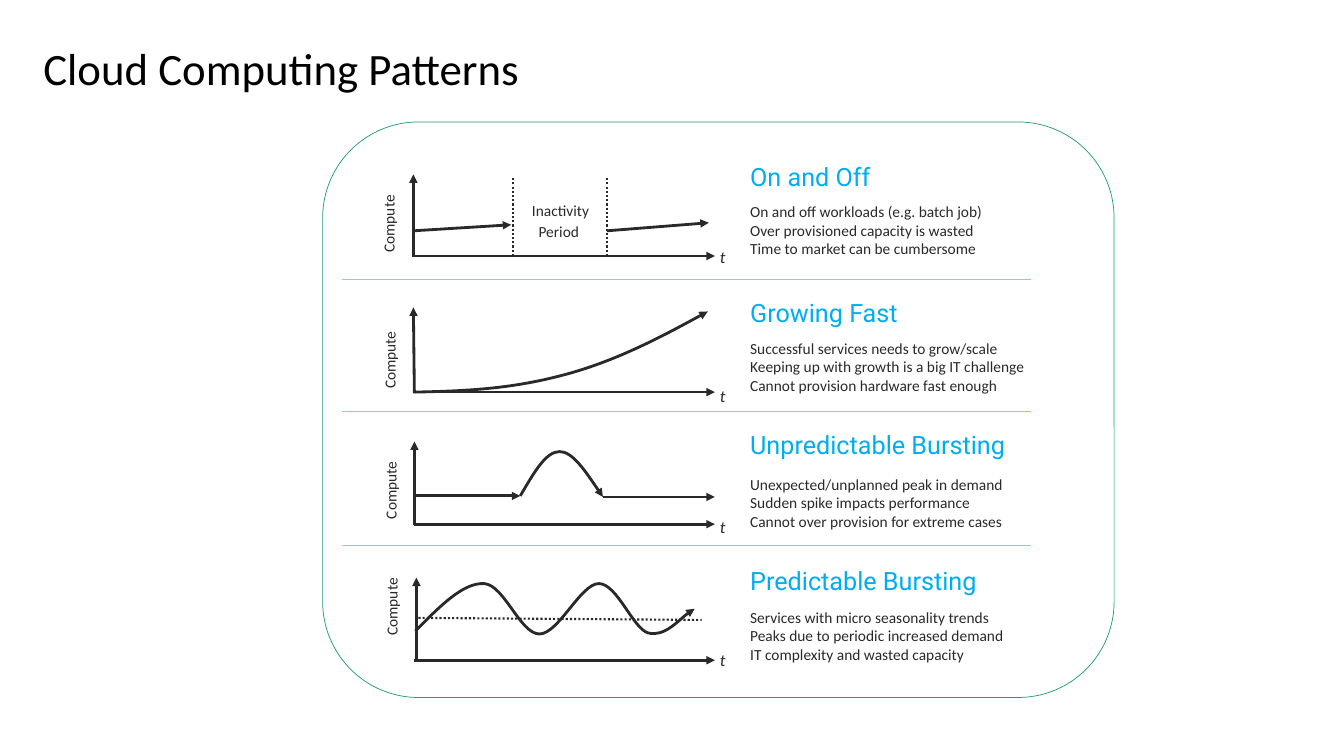
from dataclasses import dataclass

from lxml.etree import SubElement
from pptx import Presentation
from pptx.dml.color import RGBColor
from pptx.enum.dml import MSO_LINE
from pptx.enum.shapes import MSO_CONNECTOR, MSO_SHAPE
from pptx.enum.text import MSO_ANCHOR, MSO_AUTO_SIZE, PP_ALIGN
from pptx.oxml.ns import qn
from pptx.util import Inches, Pt


@dataclass(frozen=True)
class Theme:
    font: str = "Calibri"
    heading_font: str = "Roboto"
    title: str = "000000"
    ink: str = "292929"
    accent: str = "00AEEF"
    divider: str = "7ECCFF"
    panel: str = "FFFFFF"
    panel_line: str = "1D9A78"
    title_size: float = 32
    heading_size: float = 18
    axis_size: float = 12
    body_size: float = 11
    stroke: float = 2
    dotted_stroke: float = 1.5
    divider_stroke: float = 0.75
    panel_stroke: float = 0.5


@dataclass(frozen=True)
class Pattern:
    heading: str
    lines: tuple
    heading_top: float
    heading_width: float
    lines_top: float
    lines_width: float
    origin: tuple
    axis_tip: tuple
    time_top: float
    label_at: tuple


PATTERNS = (
    Pattern("On and Off",
            ("On and off workloads (e.g. batch job)",
             "Over provisioned capacity is wasted",
             "Time to market can be cumbersome"),
            1.59, 2.65, 2.01, 3.15, (4.1, 2.54), (4.1, 1.73), 2.45, (3.42, 2.1)),
    Pattern("Growing Fast",
            ("Successful services needs to grow/scale",
             "Keeping up with growth is a big IT challenge",
             "Cannot provision hardware fast enough"),
            2.93, 2.96, 3.36, 2.96, (4.11, 3.89), (4.1, 3.05), 3.83, (3.43, 3.45)),
    Pattern("Unpredictable Bursting",
            ("Unexpected/unplanned peak in demand",
             "Sudden spike impacts performance",
             "Cannot over provision for extreme cases"),
            4.24, 3.39, 4.71, 2.7, (4.11, 5.2), (4.11, 4.38), 5.13, (3.44, 4.74)),
    Pattern("Predictable Bursting",
            ("Services with micro seasonality trends",
             "Peaks due to periodic increased demand",
             "IT complexity and wasted capacity"),
            5.59, 3.19, 6.03, 2.58, (4.11, 6.55), (4.13, 5.73), 6.45, (3.45, 5.9)),
)

GROWTH_CURVE = ((4.1, 3.89), (4.68, 3.88), (5.1, 3.85), (5.59, 3.72),
                (6.08, 3.59), (6.55, 3.35), (7.02, 3.09))
SPIKE_CURVE = ((5.16, 4.92), (5.29, 4.7), (5.41, 4.48), (5.55, 4.48),
               (5.68, 4.48), (5.83, 4.71), (5.98, 4.93))
SEASON_CURVE = ((4.12, 6.26), (4.36, 6.02), (4.59, 5.78), (4.8, 5.79),
                (5, 5.8), (5.16, 6.29), (5.35, 6.29), (5.54, 6.29),
                (5.76, 5.79), (5.94, 5.79), (6.12, 5.79), (6.28, 6.24),
                (6.43, 6.28), (6.59, 6.32), (6.8, 6.08), (6.89, 6.04))


def bend_segments(shape):
    """Turn every three straight segments of a freeform into one cubic curve."""
    outline = next(shape.element.iter(qn("a:path")))
    segments = outline.findall(qn("a:lnTo"))
    for index in range(0, len(segments), 3):
        cubic = SubElement(outline, qn("a:cubicBezTo"))
        for segment in segments[index:index + 3]:
            cubic.append(segment[0])
            outline.remove(segment)


class PatternSlide:
    """Draws on a slide whose grid has columns and rows of one inch."""

    cell = Inches(1)

    def __init__(self, presentation, theme):
        self.theme = theme
        self.slide = presentation.slides.add_slide(presentation.slide_layouts[5])

    def grid(self, *cells):
        return [round(count * self.cell) for count in cells]

    def format_text(self, shape, size, color, font=None, italic=False, align=PP_ALIGN.LEFT,
                    spacing=None, after=0):
        for paragraph in shape.text_frame.paragraphs:
            paragraph.alignment = align
            paragraph.space_before = Pt(0)
            paragraph.space_after = Pt(after)
            if spacing:
                paragraph.line_spacing = spacing
            for run in paragraph.runs:
                run.font.name = font or self.theme.font
                run.font.size = Pt(size)
                run.font.italic = italic
                run.font.color.rgb = RGBColor.from_string(color)

    def title(self, text, box):
        shape = self.slide.shapes.title
        shape.left, shape.top, shape.width, shape.height = self.grid(*box)
        shape.text_frame.text = text
        shape.text_frame.auto_size = MSO_AUTO_SIZE.NONE
        shape.text_frame.vertical_anchor = MSO_ANCHOR.MIDDLE
        self.format_text(shape, self.theme.title_size, self.theme.title, spacing=0.9)

    def text(self, text, box, size, color, insets=(0, 0), rotation=0, **style):
        shape = self.slide.shapes.add_textbox(*self.grid(*box))
        shape.rotation = rotation
        frame = shape.text_frame
        frame.word_wrap = True
        frame.margin_left = frame.margin_right = self.grid(insets[0])[0]
        frame.margin_top = frame.margin_bottom = self.grid(insets[1])[0]
        frame.text = text
        self.format_text(shape, size, color, **style)

    def chart_label(self, text, box, **style):
        self.text(text, box, self.theme.body_size, self.theme.ink, insets=(0.08, 0.04),
                  align=PP_ALIGN.CENTER, spacing=Pt(8.6), **style)

    def panel(self, box):
        shape = self.slide.shapes.add_shape(MSO_SHAPE.ROUNDED_RECTANGLE, *self.grid(*box))
        shape.shadow.inherit = False
        shape.fill.solid()
        shape.fill.fore_color.rgb = RGBColor.from_string(self.theme.panel)
        self.stroke(shape, self.theme.panel_line, self.theme.panel_stroke)

    def stroke(self, shape, color, width, arrow=False):
        shape.line.color.rgb = RGBColor.from_string(color)
        shape.line.width = Pt(width)
        if arrow:
            SubElement(shape.element.spPr.find(qn("a:ln")), qn("a:tailEnd"), type="triangle")

    def line(self, start, end, color, width, arrow=False, dotted=False):
        connector = self.slide.shapes.add_connector(
            MSO_CONNECTOR.STRAIGHT, *self.grid(*start, *end))
        self.stroke(connector, color, width, arrow)
        if dotted:
            connector.line.dash_style = MSO_LINE.ROUND_DOT
        SubElement(connector.element.spPr, qn("a:effectLst"))

    def arrow(self, start, end):
        self.line(start, end, self.theme.ink, self.theme.stroke, arrow=True)

    def dotted(self, start, end):
        self.line(start, end, self.theme.ink, self.theme.dotted_stroke, dotted=True)

    def curve(self, controls):
        start, *others = [self.grid(*point) for point in controls]
        builder = self.slide.shapes.build_freeform(*start)
        builder.add_line_segments(others, close=False)
        shape = builder.convert_to_shape()
        bend_segments(shape)
        shape.shadow.inherit = False
        shape.fill.background()
        self.stroke(shape, self.theme.ink, self.theme.stroke, arrow=True)

    def pattern(self, pattern):
        theme = self.theme
        left, base = pattern.origin
        tip_left, tip_top = pattern.axis_tip
        self.arrow((max(left, tip_left), base + 0.01), (tip_left, tip_top))
        self.arrow((left, base), (7.09, base))
        self.text("t", (7.14, pattern.time_top, 1.08, 0.12), theme.axis_size, theme.ink,
                  italic=True)
        self.chart_label("Compute ", (*pattern.label_at, 0.94, 0.21), rotation=270)
        self.text(pattern.heading, (7.44, pattern.heading_top, pattern.heading_width, 0.37),
                  theme.heading_size, theme.accent, insets=(0, 0.05),
                  font=theme.heading_font, spacing=0.9)
        self.text("\n".join(pattern.lines),
                  (7.44, pattern.lines_top, pattern.lines_width, 0.56),
                  theme.body_size, theme.ink)


def main():
    presentation = Presentation()
    presentation.slide_width, presentation.slide_height = Inches(13.33), Inches(7.5)
    theme = Theme()
    slide = PatternSlide(presentation, theme)
    slide.title("Cloud Computing Patterns", (0.33, 0.33, 12.33, 0.75))
    slide.panel((3.2, 1.21, 7.85, 5.71))
    for pattern in PATTERNS:
        slide.pattern(pattern)
    slide.arrow((4.1, 2.29), (5.07, 2.23))
    slide.arrow((6.02, 2.29), (7.03, 2.21))
    for column in (5.09, 6.02):
        slide.dotted((column, 2.54), (column, 1.76))
    slide.chart_label("Inactivity\nPeriod ", (5.03, 2.02, 1.06, 0.42), after=6.5)
    slide.arrow((4.11, 4.92), (5.16, 4.92))
    slide.arrow((5.98, 4.93), (7.09, 4.93))
    for controls in (GROWTH_CURVE, SPIKE_CURVE, SEASON_CURVE):
        slide.curve(controls)
    slide.dotted((4.15, 6.13), (6.96, 6.15))
    for row in (2.77, 4.08, 5.41):
        slide.line((3.39, row), (10.23, row), theme.divider, theme.divider_stroke)
    presentation.save("out.pptx")


if __name__ == "__main__":
    main()
